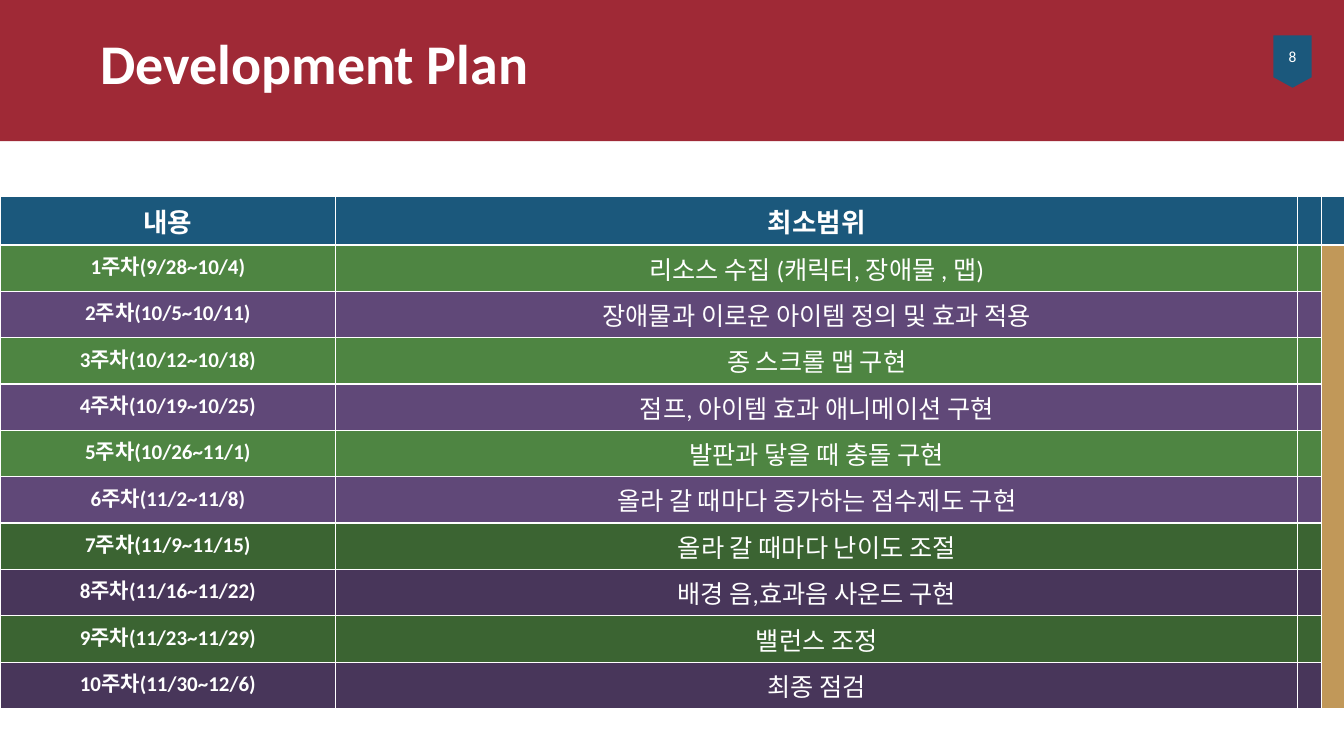
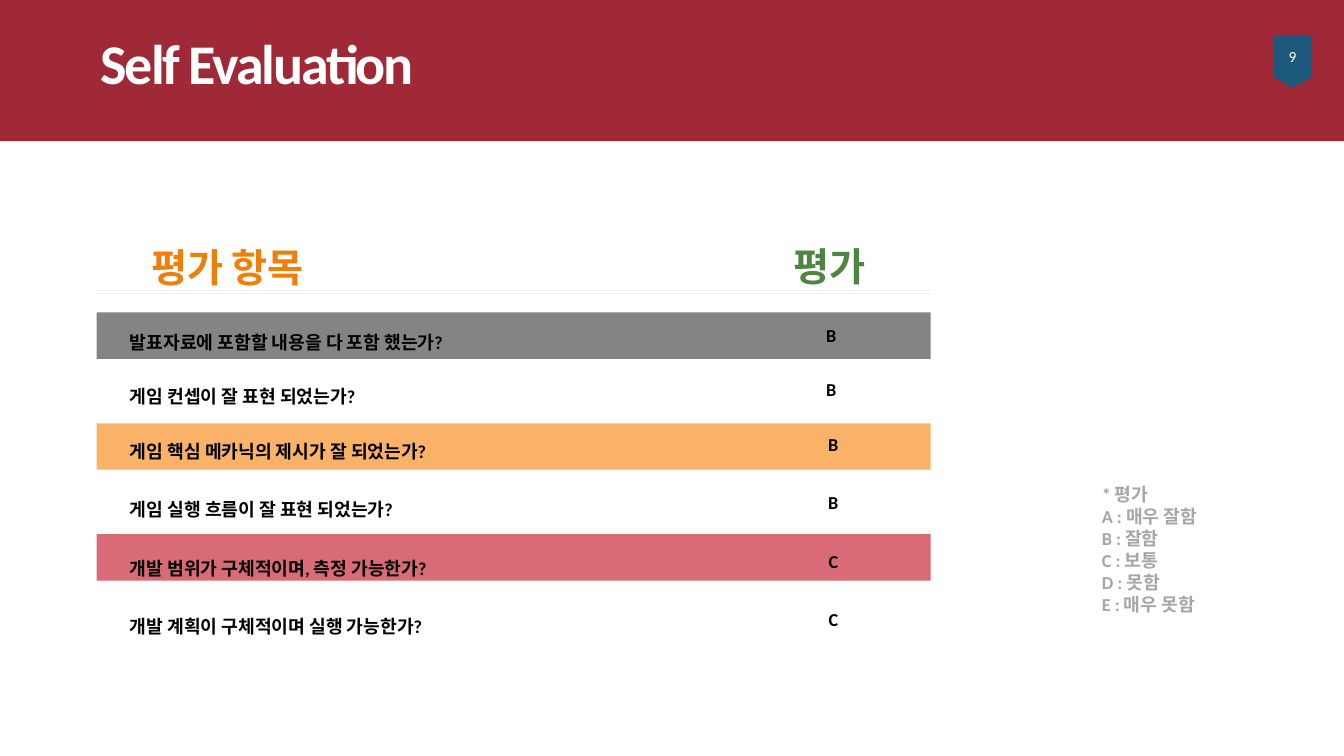
"""Build the development plan and self evaluation slides."""
from pptx import Presentation
from pptx.dml.color import RGBColor
from pptx.enum.shapes import MSO_CONNECTOR, MSO_SHAPE
from pptx.enum.text import MSO_ANCHOR, PP_ALIGN
from pptx.oxml.ns import qn
from pptx.util import Inches, Pt

WHITE = RGBColor(0xFF, 0xFF, 0xFF)
BLACK = RGBColor(0x00, 0x00, 0x00)
RED = RGBColor(0x9F, 0x29, 0x36)
BLUE = RGBColor(0x1B, 0x58, 0x7C)
GREEN = RGBColor(0x4E, 0x85, 0x42)
PURPLE = RGBColor(0x60, 0x48, 0x78)
DARK_GREEN = RGBColor(0x3B, 0x64, 0x32)
DARK_PURPLE = RGBColor(0x48, 0x36, 0x5A)
TAN = RGBColor(0xC1, 0x98, 0x59)
ORANGE = RGBColor(0xF0, 0x7F, 0x09)
GRAY = RGBColor(0x84, 0x84, 0x84)
LIGHT_ORANGE = RGBColor(0xF9, 0xB2, 0x68)
LIGHT_RED = RGBColor(0xD9, 0x6B, 0x77)
RULE_GRAY = RGBColor(0xF2, 0xF2, 0xF2)
LEGEND_GRAY = RGBColor(0xA6, 0xA6, 0xA6)

PLAN_HEADERS = ("내용", "최소범위")
PLAN = (
    ("1주차(9/28~10/4)", "리소스 수집 (캐릭터, 장애물 , 맵)"),
    ("2주차(10/5~10/11)", "장애물과 이로운 아이템 정의 및 효과 적용"),
    ("3주차(10/12~10/18)", "종 스크롤 맵 구현"),
    ("4주차(10/19~10/25)", "점프, 아이템 효과 애니메이션 구현"),
    ("5주차(10/26~11/1)", "발판과 닿을 때 충돌 구현"),
    ("6주차(11/2~11/8)", "올라 갈 때마다 증가하는 점수제도 구현"),
    ("7주차(11/9~11/15)", "올라 갈 때마다 난이도 조절"),
    ("8주차(11/16~11/22)", "배경 음,효과음 사운드 구현"),
    ("9주차(11/23~11/29)", "밸런스 조정"),
    ("10주차(11/30~12/6)", "최종 점검"),
)
PLAN_COLUMNS = (3.33, 9.54, 0.23, 0.23)
HEADER_HEIGHT, WEEK_HEIGHT = 0.48, 0.46
BRIGHT_WEEKS = 6

QUESTIONS = (
    "발표자료에 포함할 내용을 다 포함 했는가?\n게임 컨셉이 잘 표현 되었는가?\n게임 핵심 메카닉의 제시가 잘 되었는가?",
    "게임 실행 흐름이 잘 표현 되었는가?",
    "개발 범위가 구체적이며, 측정 가능한가?",
    "개발 계획이 구체적이며 실행 가능한가?",
)
GRADES = ("B \nB \nB", "B", "C", "C")
LEGEND = ("* 평가", "A : 매우 잘함", "B : 잘함", "C : 보통", "D : 못함", "E : 매우 못함")
STRIPES = (GRAY, LIGHT_ORANGE, LIGHT_RED)
LIST_LEFT, LIST_WIDTH = 0.96, 8.27
STRIPE_TOP, STRIPE_STEP, STRIPE_HEIGHT = 3.1, 1.1, 0.46
RULE_TOPS = (2.88, 2.91)

HEADING = {"size": Pt(28), "bold": True}
BODY = {"size": Pt(13), "bold": True}
SPACED = {"line_spacing": 2.5, "space_before": Pt(2.6)}
CENTERED = {"alignment": PP_ALIGN.CENTER}


def write(text_frame, lines, color, font, layout=None):
    """Fill a text frame with one paragraph for each line."""
    for index, line in enumerate(lines):
        paragraph = text_frame.paragraphs[0] if index == 0 else text_frame.add_paragraph()
        paragraph.text = line
        for name, value in (layout or {}).items():
            setattr(paragraph, name, value)
        for run in paragraph.runs:
            run.font.color.rgb = color
            for name, value in {"name": "Calibri", **font}.items():
                setattr(run.font, name, value)


def add_text(slide, box, lines, color, font, layout=None, anchor=MSO_ANCHOR.TOP):
    """Add a wrapped text box."""
    text_frame = slide.shapes.add_textbox(*map(Inches, box)).text_frame
    text_frame.word_wrap = True
    text_frame.vertical_anchor = anchor
    write(text_frame, lines, color, font, layout)
    return text_frame


def add_block(slide, kind, box, color):
    """Add a plain filled shape."""
    shape = slide.shapes.add_shape(kind, *map(Inches, box))
    shape.shadow.inherit = False
    shape.fill.solid()
    shape.fill.fore_color.rgb = color
    shape.line.fill.background()
    return shape


def add_rule(slide, top):
    """Add a thin horizontal line above the list."""
    ends = (LIST_LEFT, top, LIST_LEFT + LIST_WIDTH, top)
    line = slide.shapes.add_connector(MSO_CONNECTOR.STRAIGHT, *map(Inches, ends))
    line.line.color.rgb = RULE_GRAY
    line.line.width = Pt(0.5)
    properties = line._element.spPr
    properties.append(properties.makeelement(qn("a:effectLst"), {}))


def add_titled_slide(presentation, title, number, spacing=0):
    """Add a slide with the title band and the number tag."""
    slide = presentation.slides.add_slide(presentation.slide_layouts[6])
    add_block(slide, MSO_SHAPE.RECTANGLE, (-0.17, -0.04, 13.69, 1.44), RED)
    tag = add_block(slide, MSO_SHAPE.FLOWCHART_OFFPAGE_CONNECTOR, (12.63, 0.35, 0.38, 0.52), BLUE)
    write(tag.text_frame, [str(number)], WHITE, {"size": Pt(11)}, CENTERED)
    heading = add_text(slide, (0.9, 0.22, 9.18, 0.79), [title], WHITE,
                       {"size": Pt(40), "bold": True}, anchor=MSO_ANCHOR.MIDDLE)
    if spacing:
        run = heading.paragraphs[0].runs[0]
        run.font._element.set("spc", str(spacing))
    return slide


def week_color(week):
    """Alternate two colours, darker for the later weeks."""
    pair = (GREEN, PURPLE) if week < BRIGHT_WEEKS else (DARK_GREEN, DARK_PURPLE)
    return pair[week % 2]


def add_plan(slide):
    """Add the weekly plan table."""
    heights = [HEADER_HEIGHT] + [WEEK_HEIGHT] * len(PLAN)
    box = (0, 1.95, sum(PLAN_COLUMNS), sum(heights))
    table = slide.shapes.add_table(len(heights), len(PLAN_COLUMNS), *map(Inches, box)).table
    table.horz_banding = False
    for column, width in zip(table.columns, PLAN_COLUMNS):
        column.width = Inches(width)
    for index, texts in enumerate((PLAN_HEADERS, *PLAN)):
        table.rows[index].height = Inches(heights[index])
        sizes = (15, 18) if index else (19, 19)
        for cell in table.rows[index].cells:
            cell.fill.solid()
            cell.fill.fore_color.rgb = week_color(index - 1) if index else BLUE
        for column, (text, size) in enumerate(zip(texts, sizes)):
            font = {"size": Pt(size), "bold": index == 0 or column == 0}
            write(table.cell(index, column).text_frame, [text], WHITE, font, CENTERED)
    side = table.cell(1, 3)
    side.merge(table.cell(len(PLAN), 3))
    side.fill.fore_color.rgb = TAN


def add_evaluation(slide):
    """Add the graded questions and the legend."""
    for index, color in enumerate(STRIPES):
        top = STRIPE_TOP + index * STRIPE_STEP
        add_block(slide, MSO_SHAPE.RECTANGLE, (LIST_LEFT, top, LIST_WIDTH, STRIPE_HEIGHT), color)
    for top in RULE_TOPS:
        add_rule(slide, top)
    add_text(slide, (1.19, 2.91, 5.95, 3.51), QUESTIONS, BLACK, BODY, SPACED)
    add_text(slide, (1.4, 2.36, 5.73, 0.57), ["평가 항목"], ORANGE, HEADING, anchor=MSO_ANCHOR.MIDDLE)
    add_text(slide, (7.31, 2.84, 1.91, 3.51), GRADES, BLACK, BODY, {**SPACED, **CENTERED})
    add_text(slide, (7.31, 2.35, 1.84, 0.57), ["평가"], GREEN, HEADING, CENTERED, MSO_ANCHOR.MIDDLE)
    add_text(slide, (10.83, 4.75, 2.61, 1.63), LEGEND, LEGEND_GRAY, BODY,
             {"alignment": PP_ALIGN.JUSTIFY})


def main():
    """Build and save the presentation."""
    presentation = Presentation()
    presentation.slide_width, presentation.slide_height = Inches(13.33), Inches(7.5)
    add_plan(add_titled_slide(presentation, "Development Plan", 8))
    add_evaluation(add_titled_slide(presentation, "Self Evaluation", 9, spacing=-150))
    presentation.save("out.pptx")


if __name__ == "__main__":
    main()
